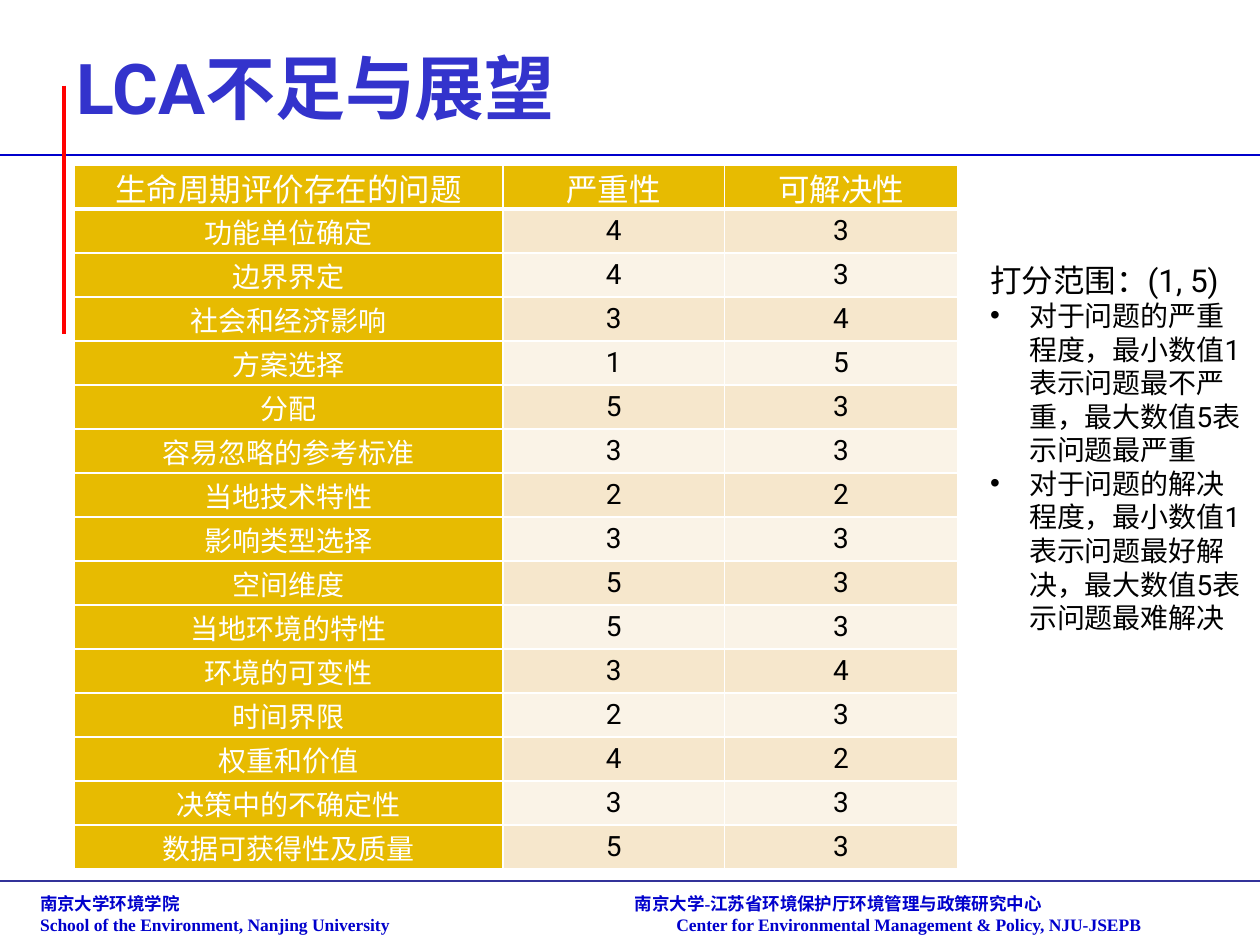
from dataclasses import dataclass

from pptx import Presentation, util as u
from pptx.dml.color import RGBColor
from pptx.enum import shapes, text
from pptx.oxml.ns import qn
from lxml import etree


@dataclass(frozen=True)
class Theme:
    sans: str = "Roboto"
    serif: str = "Times New Roman"
    title: str = "3333CC"
    navy: str = "0000CC"
    footer_rule: str = "333399"
    accent: str = "FF0000"
    gold: str = "E7BB01"
    bands: tuple = ("F6E7CC", "FAF3E7")
    white: str = "FFFFFF"
    black: str = "000000"
    title_size: int = 40
    heading_size: int = 18
    body_size: int = 16
    footer_size: int = 10


THEME = Theme()
SLIDE_WIDTH, SLIDE_HEIGHT = u.Inches(10), u.Inches(7.5)
COLUMN_SHARES = (34, 17.6, 18.5)

HEADINGS = ("生命周期评价存在的问题", "严重性", "可解决性")
SCORES = (
    ("功能单位确定", 4, 3),
    ("边界界定", 4, 3),
    ("社会和经济影响", 3, 4),
    ("方案选择", 1, 5),
    ("分配", 5, 3),
    ("容易忽略的参考标准", 3, 3),
    ("当地技术特性", 2, 2),
    ("影响类型选择", 3, 3),
    ("空间维度", 5, 3),
    ("当地环境的特性", 5, 3),
    ("环境的可变性", 3, 4),
    ("时间界限", 2, 3),
    ("权重和价值", 4, 2),
    ("决策中的不确定性", 3, 3),
    ("数据可获得性及质量", 5, 3),
)
SCALE = "打分范围：(1, 5)"
SCALE_NOTES = (
    "对于问题的严重程度，最小数值1表示问题最不严重，最大数值5表示问题最严重",
    "对于问题的解决程度，最小数值1表示问题最好解决，最大数值5表示问题最难解决",
)
# Left text, right text, tab position as a percentage of the slide's width
FOOTER = (
    ("南京大学环境学院", "南京大学-江苏省环境保护厅环境管理与政策研究中心", 47.2),
    ("School of the Environment, Nanjing University",
     "Center for Environmental Management & Policy, NJU-JSEPB", 50.5),
)


def across(percent):
    return u.Emu(round(SLIDE_WIDTH * percent / 100))


def down(percent):
    return u.Emu(round(SLIDE_HEIGHT * percent / 100))


def apply(target, values):
    for name, value in values.items():
        setattr(target, name, value)


def write(paragraph, words, size, color, face=THEME.sans, bold=False):
    run = paragraph.add_run()
    run.text = words
    apply(run.font, {"size": u.Pt(size), "name": face, "bold": bold})
    run.font.color.rgb = RGBColor.from_string(color)


def add_text_frame(slide, left, top, width, height, **options):
    frame = slide.shapes.add_textbox(
        across(left), down(top), across(width), down(height)).text_frame
    apply(frame, {"word_wrap": True, **options})
    return frame


def paragraphs(frame, count):
    return [frame.paragraphs[0]] + [frame.add_paragraph() for _ in range(count - 1)]


def set_bullet(paragraph):
    properties = paragraph._p.get_or_add_pPr()
    indent = across(3.1)
    properties.set("marL", str(indent))
    properties.set("indent", str(-indent))
    etree.SubElement(properties, qn("a:buFont"), typeface="Arial")
    etree.SubElement(properties, qn("a:buChar"), char="•")


def set_tab(paragraph, position):
    stops = etree.SubElement(paragraph._p.get_or_add_pPr(), qn("a:tabLst"))
    etree.SubElement(stops, qn("a:tab"), pos=str(across(position)), algn="l")


def add_rule(slide, x1, y1, x2, y2, color, weight):
    rule = slide.shapes.add_connector(
        shapes.MSO_CONNECTOR.STRAIGHT, across(x1), down(y1), across(x2), down(y2))
    rule.line.color.rgb = RGBColor.from_string(color)
    rule.line.width = u.Pt(weight)
    etree.SubElement(rule._element.spPr, qn("a:effectLst"))


def set_borders(cell, top, bottom):
    """Draw white borders; this must come before the cell's fill."""
    properties = cell._tc.get_or_add_tcPr()
    for side, weight in {"L": 1, "R": 1, "T": top, "B": bottom}.items():
        border = etree.SubElement(properties, qn(f"a:ln{side}"), w=str(u.Pt(weight)))
        fill = etree.SubElement(border, qn("a:solidFill"))
        etree.SubElement(fill, qn("a:srgbClr"), val=THEME.white)


def fill_cell(cell, words, row, column):
    is_heading = row == 0
    on_gold = is_heading or column == 0
    set_borders(cell, top=3 if row == 1 else 1, bottom=3 if is_heading else 1)
    apply(cell, {
        "vertical_anchor": text.MSO_ANCHOR.MIDDLE,
        "margin_left": across(0.7), "margin_right": across(0.7),
        "margin_top": 0, "margin_bottom": 0,
    })
    cell.fill.solid()
    cell.fill.fore_color.rgb = RGBColor.from_string(
        THEME.gold if on_gold else THEME.bands[(row - 1) % 2])
    paragraph = cell.text_frame.paragraphs[0]
    paragraph.alignment = text.PP_ALIGN.CENTER
    write(paragraph, str(words),
          THEME.heading_size if is_heading else THEME.body_size,
          THEME.white if on_gold else THEME.black)


def add_score_table(slide):
    rows = (HEADINGS, *SCORES)
    table = slide.shapes.add_table(
        len(rows), len(HEADINGS), across(5.9), down(17.47),
        across(sum(COLUMN_SHARES)), down(74.53)).table
    for column, share in zip(table.columns, COLUMN_SHARES):
        column.width = across(share)
    for r, values in enumerate(rows):
        for c, words in enumerate(values):
            fill_cell(table.cell(r, c), words, r, c)


def add_title(slide):
    frame = add_text_frame(slide, 5.1, 4, 89.8, 10.27,
                           vertical_anchor=text.MSO_ANCHOR.BOTTOM)
    write(frame.paragraphs[0], "LCA不足与展望", THEME.title_size, THEME.title, bold=True)


def add_scale_notes(slide):
    frame = add_text_frame(slide, 77.6, 26.93, 22.4, 41.33,
                           auto_size=text.MSO_AUTO_SIZE.SHAPE_TO_FIT_TEXT)
    scale, *notes = paragraphs(frame, 1 + len(SCALE_NOTES))
    write(scale, SCALE, THEME.heading_size, THEME.black)
    for paragraph, words in zip(notes, SCALE_NOTES):
        set_bullet(paragraph)
        write(paragraph, words, THEME.body_size, THEME.black)


def add_footer(slide):
    frame = add_text_frame(slide, 2.2, 93.87, 95.7, 5.73,
                           auto_size=text.MSO_AUTO_SIZE.SHAPE_TO_FIT_TEXT)
    for paragraph, (school, center, tab) in zip(paragraphs(frame, len(FOOTER)), FOOTER):
        set_tab(paragraph, tab)
        write(paragraph, f"{school}\t{center}", THEME.footer_size, THEME.navy,
              THEME.serif, bold=True)


def main():
    deck = Presentation()
    apply(deck, {"slide_width": SLIDE_WIDTH, "slide_height": SLIDE_HEIGHT})
    slide = deck.slides.add_slide(deck.slide_layouts[6])
    add_footer(slide)
    add_rule(slide, 0, 93.2, 100, 93.2, THEME.footer_rule, 1)
    add_rule(slide, 0, 16.4, 100, 16.4, THEME.navy, 1.5)
    add_rule(slide, 5.1, 9.07, 5.1, 35.33, THEME.accent, 2.25)
    add_title(slide)
    add_score_table(slide)
    add_scale_notes(slide)
    deck.save("out.pptx")


if __name__ == "__main__":
    main()
